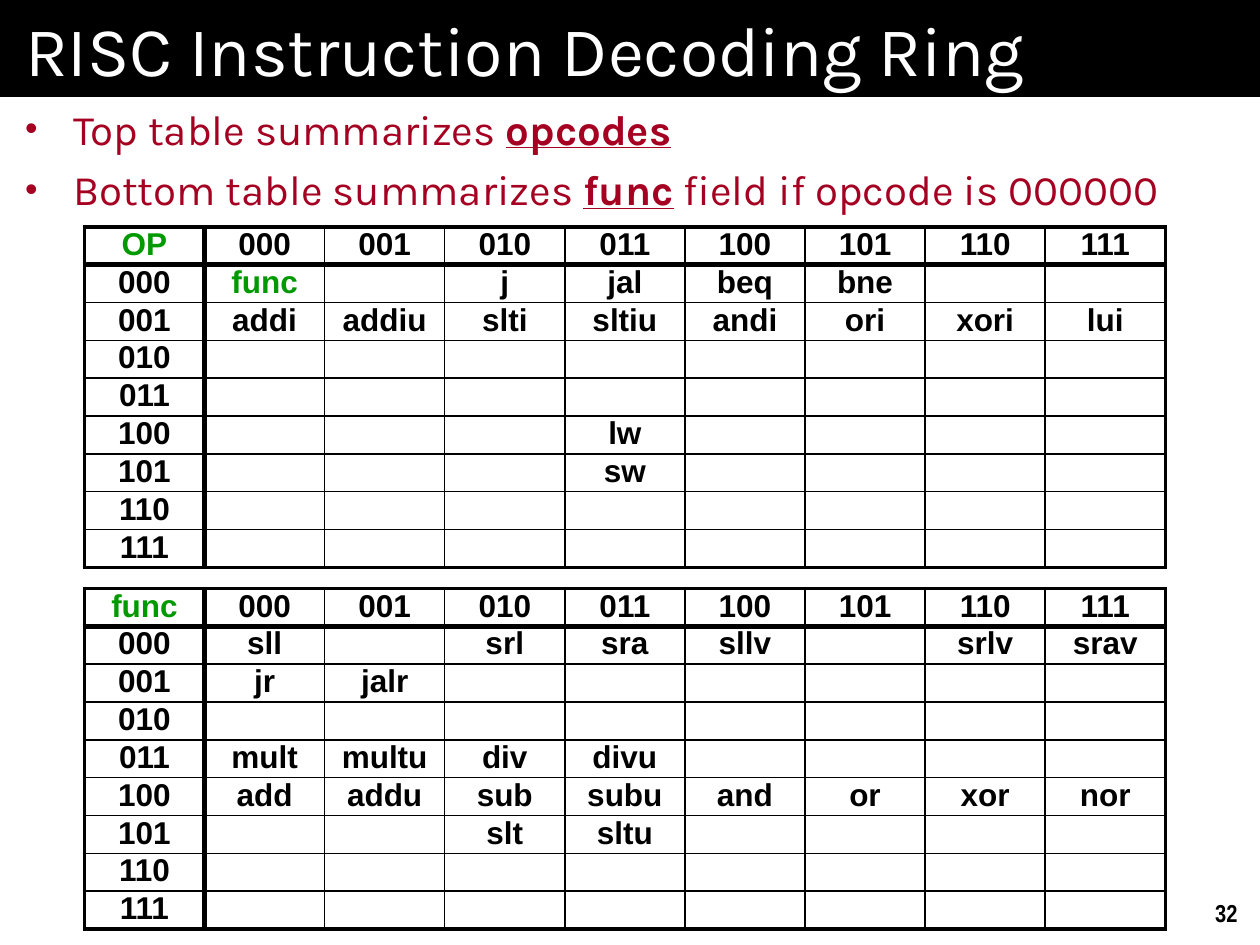
import dataclasses
import typing

import lxml.etree
import pptx
import pptx.dml.color
import pptx.enum.shapes
import pptx.enum.text
import pptx.oxml.ns
import pptx.util

Inches = pptx.util.Inches
Pt = pptx.util.Pt
RGBColor = pptx.dml.color.RGBColor
PP_ALIGN = pptx.enum.text.PP_ALIGN
MSO_ANCHOR = pptx.enum.text.MSO_ANCHOR
qn = pptx.oxml.ns.qn

BLACK = RGBColor(0x00, 0x00, 0x00)
WHITE = RGBColor(0xFF, 0xFF, 0xFF)
CRIMSON = RGBColor(0xA5, 0x00, 0x21)
GREEN = RGBColor(0x00, 0x99, 0x00)

CODES = [f"{value:03b}" for value in range(8)]
TABLE_LEFT, TABLE_WIDTH, ROW_HEIGHT = 0.67, 8.58, 0.3
SIZE = len(CODES) + 1
THIN, FRAME, HEADER = 1, 2.25, 3


@dataclasses.dataclass(frozen=True)
class DecodingTable:
    top: float
    corner: str
    mnemonics: dict[str, str]


DECODING_TABLES = [
    DecodingTable(1.8, "OP", {
        "000": "func,,j,jal,beq,bne,,",
        "001": "addi,addiu,slti,sltiu,andi,ori,xori,lui",
        "100": ",,,lw,,,,",
        "101": ",,,sw,,,,",
    }),
    DecodingTable(4.67, "func", {
        "000": "sll,,srl,sra,sllv,,srlv,srav",
        "001": "jr,jalr,,,,,,",
        "011": "mult,multu,div,divu,,,,",
        "100": "add,addu,sub,subu,and,or,xor,nor",
        "101": ",,slt,sltu,,,,",
    }),
]
SUMMARIES = [
    ("Top table summarizes ", "opcodes", ""),
    ("Bottom table summarizes ", "func", " field if opcode is 000000"),
]


def style_run(run: typing.Any, font: str, size: float, color: RGBColor, bold: bool = False) -> None:
    run.font.name = font
    run.font.size = Pt(size)
    run.font.color.rgb = color
    run.font.bold = bold


def set_insets(frame: typing.Any, side: float, end: float) -> None:
    frame.word_wrap = True
    frame.margin_left = frame.margin_right = Inches(side)
    frame.margin_top = frame.margin_bottom = Inches(end)


def add_title(slide: typing.Any) -> None:
    banner = slide.shapes.add_shape(
        pptx.enum.shapes.MSO_SHAPE.RECTANGLE, 0, 0, Inches(10), Inches(0.77))
    banner.shadow.inherit = False
    banner.fill.solid()
    banner.fill.fore_color.rgb = BLACK
    banner.line.fill.background()
    set_insets(banner.text_frame, 0.2, 0.05)
    banner.text_frame.vertical_anchor = MSO_ANCHOR.MIDDLE
    heading = banner.text_frame.paragraphs[0]
    heading.text = "RISC Instruction Decoding Ring"
    heading.alignment = PP_ALIGN.LEFT
    style_run(heading.runs[0], "Karla", 40, WHITE)


def add_bullet(paragraph: typing.Any) -> None:
    properties = paragraph._p.get_or_add_pPr()
    properties.set("marL", str(Inches(0.38)))
    properties.set("indent", str(-Inches(0.38)))
    color = lxml.etree.SubElement(properties, qn("a:buClr"))
    lxml.etree.SubElement(color, qn("a:srgbClr"), val=str(CRIMSON))
    lxml.etree.SubElement(properties, qn("a:buSzPct"), val="85000")
    lxml.etree.SubElement(properties, qn("a:buFont"), typeface="Arial")
    lxml.etree.SubElement(properties, qn("a:buChar"), char="•")


def add_summaries(slide: typing.Any) -> None:
    body = slide.shapes.add_textbox(0, Inches(0.67), Inches(10), Inches(6.73)).text_frame
    set_insets(body, 0.2, 0.15)
    for index, (lead, term, rest) in enumerate(SUMMARIES):
        summary = body.paragraphs[0] if index == 0 else body.add_paragraph()
        summary.space_before = Pt(5.6)
        add_bullet(summary)
        for text in filter(None, (lead, term, rest)):
            run = summary.add_run()
            run.text = text
            style_run(run, "Karla", 24, CRIMSON, text == term)
            run.font.underline = text == term


def edge_width(index: int) -> float:
    return {0: FRAME, 1: HEADER, SIZE: FRAME}.get(index, THIN)


def set_borders(cell: typing.Any, row: int, column: int) -> None:
    edges = {"lnL": column, "lnR": column + 1, "lnT": row, "lnB": row + 1}
    for tag, index in edges.items():
        line = lxml.etree.SubElement(
            cell._tc.get_or_add_tcPr(), qn(f"a:{tag}"), w=str(Pt(edge_width(index))))
        fill = lxml.etree.SubElement(line, qn("a:solidFill"))
        lxml.etree.SubElement(fill, qn("a:srgbClr"), val=str(BLACK))


def fill_cell(cell: typing.Any, text: str, color: RGBColor) -> None:
    cell.margin_left = cell.margin_right = Inches(0.1)
    cell.margin_top = cell.margin_bottom = 0
    cell.fill.background()
    entry = cell.text_frame.paragraphs[0]
    if text:
        entry.text = text
        entry.alignment = PP_ALIGN.CENTER
        style_run(entry.runs[0], "Arial", 18, color, True)
    else:
        lxml.etree.SubElement(entry._p, qn("a:endParaRPr"), sz="1200")


def add_decoding_table(slide: typing.Any, decoding: DecodingTable) -> None:
    table = slide.shapes.add_table(
        SIZE, SIZE, Inches(TABLE_LEFT), Inches(decoding.top),
        Inches(TABLE_WIDTH), Inches(ROW_HEIGHT * SIZE)).table
    table.first_row = table.horz_banding = False
    blank_row = "," * (len(CODES) - 1)
    rows = [[decoding.corner, *CODES]]
    rows += [[code, *decoding.mnemonics.get(code, blank_row).split(",")] for code in CODES]
    for row, texts in enumerate(rows):
        for column, text in enumerate(texts):
            cell = table.cell(row, column)
            set_borders(cell, row, column)
            fill_cell(cell, text, GREEN if text in ("OP", "func") else BLACK)


def add_page_number(slide: typing.Any) -> None:
    footer = slide.shapes.add_textbox(
        Inches(9.5), Inches(7.08), Inches(0.42), Inches(0.33)).text_frame
    set_insets(footer, 0.1, 0.05)
    number = footer.paragraphs[0]
    number.text = "32"
    number.alignment = PP_ALIGN.RIGHT
    style_run(number.runs[0], "Arial Narrow", 14, BLACK, True)


deck = pptx.Presentation()
deck.slide_width, deck.slide_height = Inches(10), Inches(7.5)
decoding_ring = deck.slides.add_slide(deck.slide_layouts[6])
add_title(decoding_ring)
add_summaries(decoding_ring)
for decoding_table in DECODING_TABLES:
    add_decoding_table(decoding_ring, decoding_table)
add_page_number(decoding_ring)
deck.save("out.pptx")
